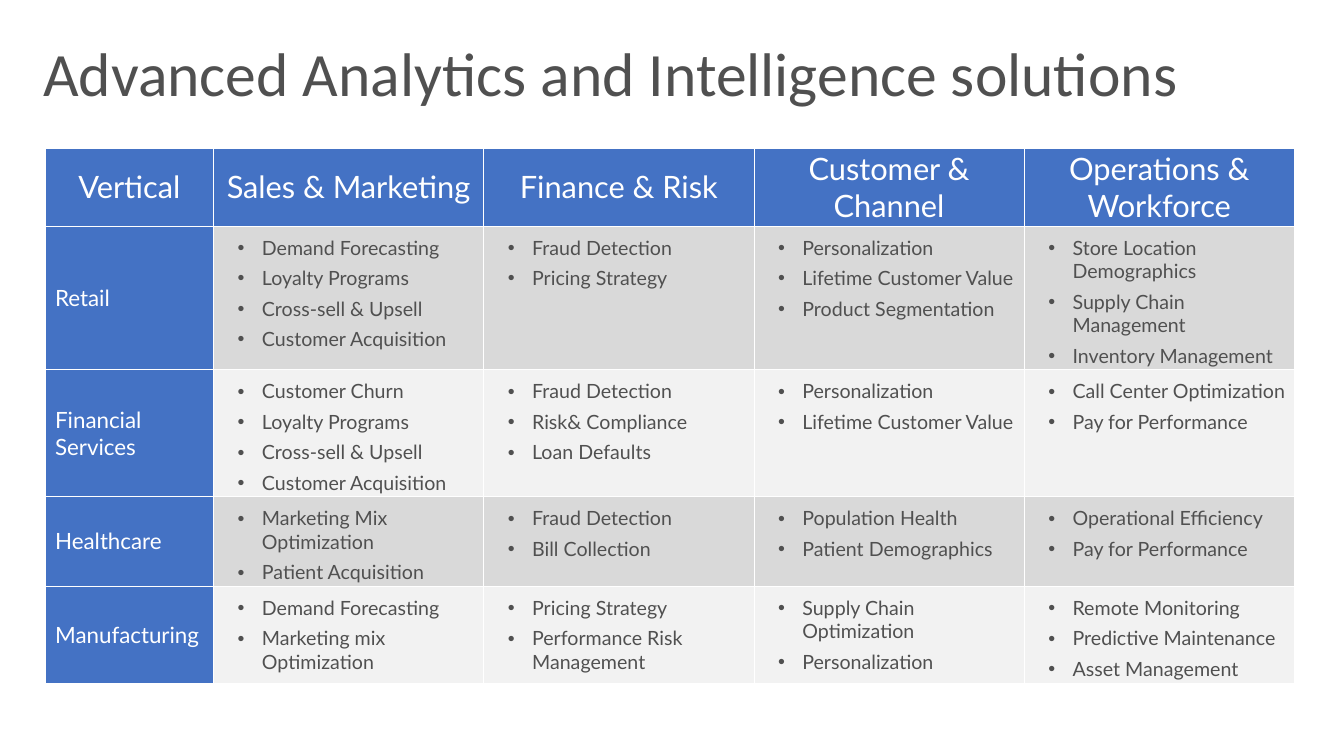
from dataclasses import dataclass

from lxml import etree
from pptx import Presentation
from pptx.dml.color import RGBColor
from pptx.enum import text
from pptx.oxml import ns
from pptx.table import _Cell
from pptx.text.text import _Paragraph
from pptx.util import Cm, Pt

WHITE = RGBColor(0xFF, 0xFF, 0xFF)
BLUE = RGBColor(0x44, 0x72, 0xC4)
CHARCOAL = RGBColor(0x50, 0x50, 0x50)
BANDS = (RGBColor(0xD9, 0xD9, 0xD9), RGBColor(0xF2, 0xF2, 0xF2))

HEADINGS = ("Vertical", "Sales & Marketing", "Finance & Risk",
            "Customer & Channel", "Operations & Workforce")
HEADING_HEIGHT = Cm(1.95)
VERTICAL_WIDTH, AREA_WIDTH = Cm(4.24), Cm(6.81)


@dataclass(frozen=True)
class Vertical:
    name: str
    height: Cm
    solutions: tuple[tuple[str, ...], ...]


VERTICALS = (
    Vertical("Retail", Cm(3.6), (
        ("Demand Forecasting", "Loyalty Programs", "Cross-sell & Upsell", "Customer Acquisition"),
        ("Fraud Detection", "Pricing Strategy"),
        ("Personalization", "Lifetime Customer Value", "Product Segmentation"),
        ("Store Location Demographics", "Supply Chain Management", "Inventory Management"),
    )),
    Vertical("Financial Services", Cm(3.2), (
        ("Customer Churn", "Loyalty Programs", "Cross-sell & Upsell", "Customer Acquisition"),
        ("Fraud Detection", "Risk& Compliance", "Loan Defaults"),
        ("Personalization", "Lifetime Customer Value"),
        ("Call Center Optimization", "Pay for Performance"),
    )),
    Vertical("Healthcare", Cm(2.24), (
        ("Marketing Mix Optimization", "Patient Acquisition"),
        ("Fraud Detection", "Bill Collection"),
        ("Population Health", "Patient Demographics"),
        ("Operational Efficiency", "Pay for Performance"),
    )),
    Vertical("Manufacturing", Cm(2.44), (
        ("Demand Forecasting", "Marketing mix Optimization"),
        ("Pricing Strategy", "Performance Risk Management"),
        ("Supply Chain Optimization", "Personalization"),
        ("Remote Monitoring", "Predictive Maintenance", "Asset Management"),
    )),
)


def format_run(paragraph: _Paragraph, font_name: str, size: int, color: RGBColor) -> None:
    font = paragraph.runs[0].font
    font.name, font.size, font.bold = font_name, Pt(size), False
    font.color.rgb = color


def add_bullet(paragraph: _Paragraph) -> None:
    properties = paragraph._p.get_or_add_pPr()
    properties.set("marL", str(Cm(0.97)))
    properties.set("indent", str(-Cm(0.61)))
    color = etree.SubElement(properties, ns.qn("a:buClr"))
    etree.SubElement(color, ns.qn("a:srgbClr"), val=str(CHARCOAL))
    etree.SubElement(properties, ns.qn("a:buFont"), typeface="Arial")
    etree.SubElement(properties, ns.qn("a:buChar"), char="•")


def style_cell(cell: _Cell, fill: RGBColor, left: float, top: float) -> None:
    """Give the cell thin white borders, a fill and its insets in centimetres."""
    properties = cell._tc.get_or_add_tcPr()
    for side in ("lnL", "lnR", "lnT", "lnB"):
        border = etree.SubElement(properties, ns.qn(f"a:{side}"), w=str(Pt(0.5)))
        solid = etree.SubElement(border, ns.qn("a:solidFill"))
        etree.SubElement(solid, ns.qn("a:srgbClr"), val=str(WHITE))
    cell.fill.solid()
    cell.fill.fore_color.rgb = fill
    cell.margin_left, cell.margin_top = Cm(left), Cm(top)
    cell.margin_right, cell.margin_bottom = Cm(0.08), Cm(0.05)


def fill_label(cell: _Cell, label: str, size: int, left: float,
               alignment: text.PP_ALIGN) -> None:
    style_cell(cell, BLUE, left, 0.05)
    cell.vertical_anchor = text.MSO_ANCHOR.MIDDLE
    cell.text_frame.text = label
    paragraph = cell.text_frame.paragraphs[0]
    paragraph.alignment = alignment
    format_run(paragraph, "Lato", size, WHITE)


def fill_solutions(cell: _Cell, solutions: tuple[str, ...], band: RGBColor) -> None:
    style_cell(cell, band, 0.25, 0.25)
    cell.vertical_anchor = text.MSO_ANCHOR.TOP
    cell.text_frame.text = "\n".join(solutions)
    for index, paragraph in enumerate(cell.text_frame.paragraphs):
        add_bullet(paragraph)
        if index:
            paragraph.space_before = Pt(5)
        format_run(paragraph, "Lato", 14, CHARCOAL)


def main() -> None:
    deck = Presentation()
    deck.slide_width, deck.slide_height = Cm(33.87), Cm(19.05)
    slide = deck.slides.add_slide(deck.slide_layouts[5])

    title = slide.shapes.title
    title.left, title.top, title.width, title.height = Cm(0), Cm(0), deck.slide_width, Cm(3.43)
    frame = title.text_frame
    frame.text = "Advanced Analytics and Intelligence solutions"
    frame.word_wrap = True
    frame.auto_size = text.MSO_AUTO_SIZE.NONE
    frame.vertical_anchor = text.MSO_ANCHOR.TOP
    frame.margin_left = frame.margin_top = Cm(1.09)
    frame.margin_right = frame.margin_bottom = Cm(0.25)
    heading = frame.paragraphs[0]
    heading.alignment = text.PP_ALIGN.LEFT
    heading.line_spacing = 0.9
    format_run(heading, "Calibri", 44, CHARCOAL)

    widths = [VERTICAL_WIDTH] + [AREA_WIDTH] * (len(HEADINGS) - 1)
    heights = [HEADING_HEIGHT] + [vertical.height for vertical in VERTICALS]
    matrix = slide.shapes.add_table(len(heights), len(widths), Cm(1.14), Cm(3.73),
                                    sum(widths), sum(heights)).table
    for column, width in zip(matrix.columns, widths):
        column.width = width
    for row, height in zip(matrix.rows, heights):
        row.height = height

    for column, label in enumerate(HEADINGS):
        fill_label(matrix.cell(0, column), label, 22, 0.08, text.PP_ALIGN.CENTER)
    for row, vertical in enumerate(VERTICALS, start=1):
        fill_label(matrix.cell(row, 0), vertical.name, 16, 0.25, text.PP_ALIGN.LEFT)
        band = BANDS[(row - 1) % len(BANDS)]
        for column, solutions in enumerate(vertical.solutions, start=1):
            fill_solutions(matrix.cell(row, column), solutions, band)

    deck.save("out.pptx")


if __name__ == "__main__":
    main()
